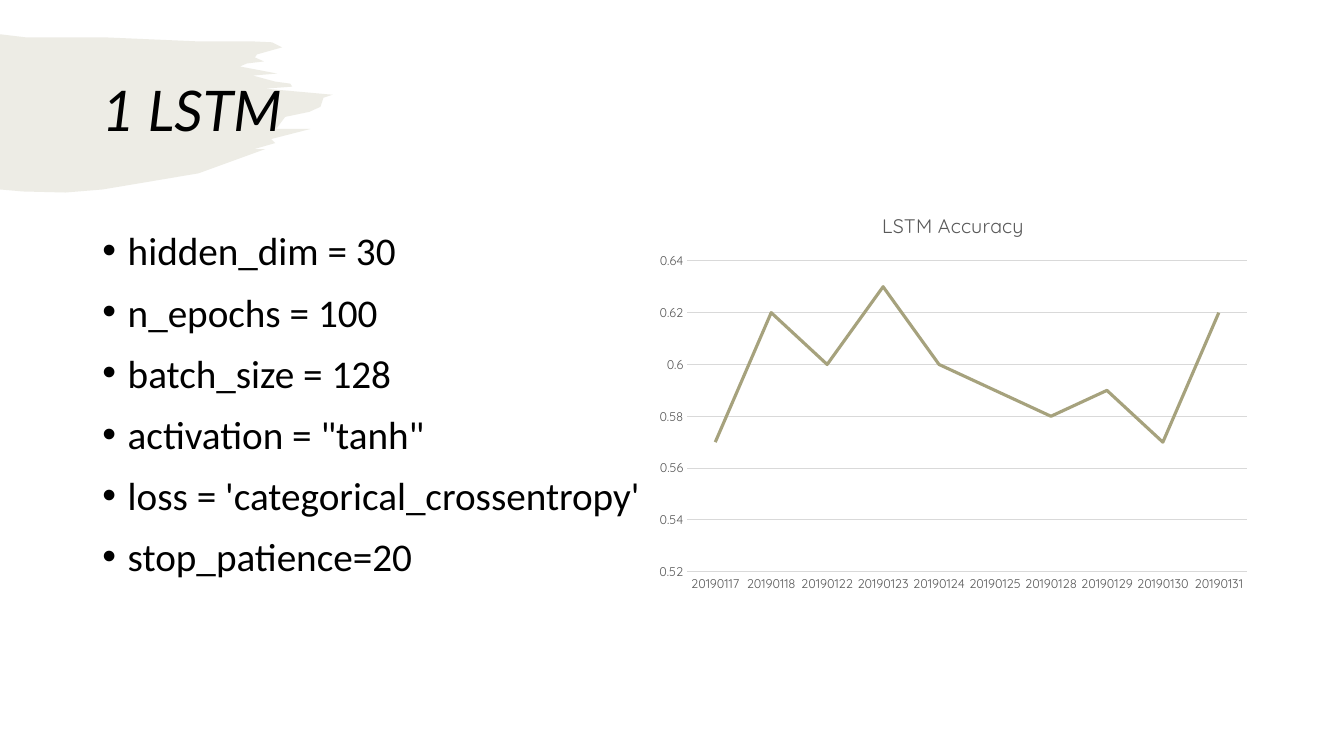
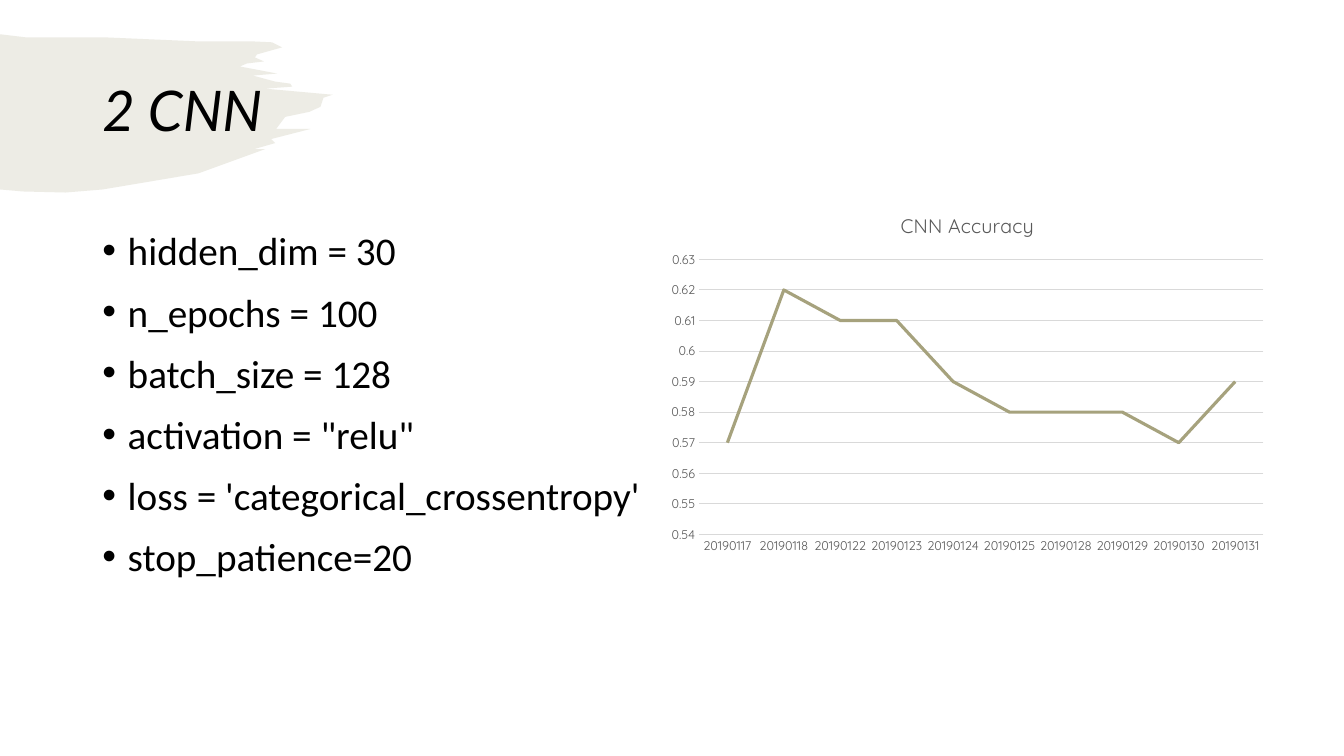
from dataclasses import dataclass

from lxml import etree
from pptx import Presentation
from pptx.chart.data import CategoryChartData
from pptx.dml.color import RGBColor
from pptx.enum.chart import XL_CHART_TYPE, XL_MARKER_STYLE, XL_TICK_MARK
from pptx.enum.text import MSO_ANCHOR
from pptx.oxml.ns import qn
from pptx.util import Cm, Pt

LINE_CHART = XL_CHART_TYPE.LINE
NO_MARKER = XL_MARKER_STYLE.NONE
NO_TICK = XL_TICK_MARK.NONE
MIDDLE = MSO_ANCHOR.MIDDLE

# Shared look
TITLE_FONT, BODY_FONT, CHART_FONT = "Lato", "Calibri", "Quicksand"
BLACK, GREY, GRID, OLIVE = "000000", "595959", "D9D9D9", "A6A27D"
BRUSH_OPACITY = 20
BULLET_INDENT = Cm(0.64)
TEXT_LEFT, CHART_TOP = Cm(2.33), Cm(4.9)

# Brush outline, clockwise from the top left, in hundredths of an inch
BRUSH_UNIT = Cm(0.0254)
BRUSH_OUTLINE = [
    (0, 34), (25, 37), (102, 37), (194, 41), (248, 41), (270, 42),
    (280, 47), (255, 54), (253, 57), (262, 61), (245, 63), (238, 66),
    (275, 73), (251, 75), (273, 81), (288, 83), (290, 86), (263, 88),
    (330, 94), (321, 97), (318, 106), (307, 111), (283, 116), (280, 120),
    (274, 128), (308, 128), (269, 138), (273, 142), (252, 148), (263, 148),
    (197, 172), (102, 188), (65, 191), (23, 190), (0, 188),
]

DATES = [f"201901{day}" for day in "17 18 22 23 24 25 28 29 30 31".split()]


@dataclass(frozen=True)
class AccuracyChart:
    left: float
    width: float
    height: float
    values: tuple[float, ...]
    minimum: float
    maximum: float
    step: float


@dataclass(frozen=True)
class ModelSlide:
    number: int
    model: str
    activation: str
    accuracy: AccuracyChart


MODELS = [
    ModelSlide(1, "LSTM", "tanh", AccuracyChart(
        16.31, 15.42, 10.21,
        (0.57, 0.62, 0.6, 0.63, 0.6, 0.59, 0.58, 0.59, 0.57, 0.62),
        0.52, 0.64, 0.02)),
    ModelSlide(2, "CNN", "relu", AccuracyChart(
        16.61, 15.54, 9.25,
        (0.57, 0.62, 0.61, 0.61, 0.59, 0.58, 0.58, 0.58, 0.57, 0.59),
        0.54, 0.63, 0.01)),
]


def color(value: str) -> RGBColor:
    return RGBColor.from_string(value)


def style_font(font, name: str, size: float, value: str) -> None:
    font.name = name
    font.size = Pt(size)
    font.color.rgb = color(value)


def style_line(line, value: str, width: float) -> None:
    line.color.rgb = color(value)
    line.width = Pt(width)


# Brush stroke behind the title
def add_brush(slide) -> None:
    start, *rest = BRUSH_OUTLINE
    builder = slide.shapes.build_freeform(*start, scale=float(BRUSH_UNIT))
    builder.add_line_segments(rest, close=True)
    shape = builder.convert_to_shape()
    shape.shadow.inherit = False
    shape.line.fill.background()
    shape.fill.solid()
    shape.fill.fore_color.rgb = color(OLIVE)
    fill_color = shape._element.spPr.find(qn("a:solidFill"))[0]
    etree.SubElement(fill_color, qn("a:alpha"), val=str(BRUSH_OPACITY * 1000))


# Title and parameter list
def add_text_frame(slide, top: float, width: float, height: float):
    box = slide.shapes.add_textbox(TEXT_LEFT, Cm(top), Cm(width), Cm(height))
    box.text_frame.word_wrap = True
    return box.text_frame


def add_title(slide, text: str) -> None:
    frame = add_text_frame(slide, 1.01, 29.21, 3.68)
    frame.vertical_anchor = MIDDLE
    paragraph = frame.paragraphs[0]
    paragraph.line_spacing = 0.9
    run = paragraph.add_run()
    run.text = text
    style_font(run.font, TITLE_FONT, 40, BLACK)
    run.font.italic = True


def add_bullets(slide, items: list[str]) -> None:
    frame = add_text_frame(slide, 5.59, 16.1, 11.56)
    for index, item in enumerate(items):
        paragraph = frame.add_paragraph() if index else frame.paragraphs[0]
        paragraph.space_before = Pt(10)
        properties = paragraph._p.get_or_add_pPr()
        properties.set("marL", str(BULLET_INDENT))
        properties.set("indent", str(-BULLET_INDENT))
        etree.SubElement(properties, qn("a:buFont"), typeface="Arial")
        etree.SubElement(properties, qn("a:buChar"), char="•")
        run = paragraph.add_run()
        run.text = item
        style_font(run.font, BODY_FONT, 28, BLACK)


# Accuracy line chart
def add_accuracy_chart(slide, title: str, accuracy: AccuracyChart) -> None:
    data = CategoryChartData()
    data.categories = DATES
    data.add_series("Series 1", accuracy.values)
    chart = slide.shapes.add_chart(
        LINE_CHART, Cm(accuracy.left), CHART_TOP,
        Cm(accuracy.width), Cm(accuracy.height), data).chart
    style_font(chart.font, CHART_FONT, 10, BLACK)
    chart.has_legend = False
    chart.has_title = True
    run = chart.chart_title.text_frame.paragraphs[0].add_run()
    run.text = title
    style_font(run.font, CHART_FONT, 14, GREY)
    run.font.bold = False

    for axis in (chart.category_axis, chart.value_axis):
        axis.major_tick_mark = axis.minor_tick_mark = NO_TICK
        style_font(axis.tick_labels.font, CHART_FONT, 9, GREY)
    style_line(chart.category_axis.format.line, GRID, 0.75)

    value_axis = chart.value_axis
    value_axis.format.line.fill.background()
    style_line(value_axis.major_gridlines.format.line, GRID, 0.75)
    value_axis.minimum_scale = accuracy.minimum
    value_axis.maximum_scale = accuracy.maximum
    value_axis.major_unit = accuracy.step
    value_axis.tick_labels.number_format = "General"
    value_axis.tick_labels.number_format_is_linked = False

    plot = chart.plots[0]
    plot.vary_by_categories = False
    series = plot.series[0]
    series.smooth = False
    series.marker.style = NO_MARKER
    style_line(series.format.line, OLIVE, 2.25)


def add_model_slide(presentation, model: ModelSlide) -> None:
    slide = presentation.slides.add_slide(presentation.slide_layouts[6])
    add_brush(slide)
    add_title(slide, f"{model.number} {model.model}")
    add_bullets(slide, [
        "hidden_dim = 30",
        "n_epochs = 100",
        "batch_size = 128",
        f'activation = "{model.activation}"',
        "loss = 'categorical_crossentropy'",
        "stop_patience=20",
    ])
    add_accuracy_chart(slide, f"{model.model} Accuracy", model.accuracy)


def main() -> None:
    presentation = Presentation()
    presentation.slide_width = Cm(33.87)
    presentation.slide_height = Cm(19.05)
    for model in MODELS:
        add_model_slide(presentation, model)
    presentation.save("out.pptx")


if __name__ == "__main__":
    main()
